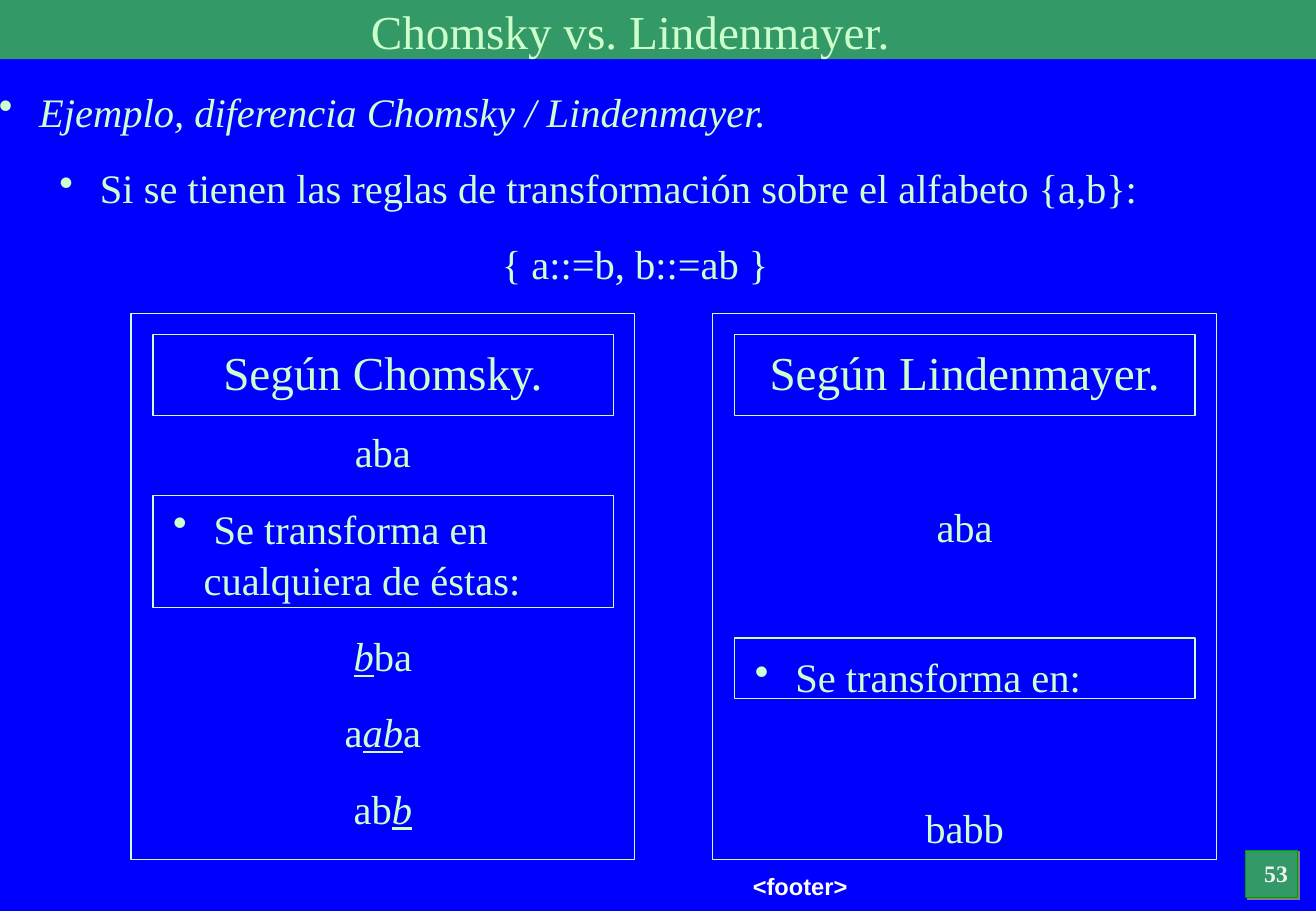
"""Builds the slide comparing Chomsky and Lindenmayer rewriting."""
from dataclasses import dataclass
from typing import Any, Optional

from lxml.etree import SubElement
from pptx import Presentation
from pptx.dml.color import RGBColor
from pptx.enum.shapes import MSO_SHAPE
from pptx.enum.text import MSO_ANCHOR, PP_ALIGN
from pptx.oxml.ns import qn
from pptx.util import Cm, Pt


@dataclass(frozen=True)
class Theme:
    """Colours, fonts and type sizes of the slide."""
    background: str = "0000FF"
    band: str = "339966"
    badge_line: str = "009900"
    shadow: str = "808080"
    text: str = "CCFFCC"
    number: str = "F2F2F2"
    footer: str = "FFFFFF"
    serif: str = "Times New Roman"
    sans: str = "Arial"
    title_size: int = 28
    body_size: int = 24
    small_size: int = 14


THEME = Theme()


@dataclass(frozen=True)
class Area:
    """A rectangle in centimetres."""
    left: float
    top: float
    width: float
    height: float


@dataclass(frozen=True)
class Span:
    """A stretch of text with one format."""
    text: str
    italic: bool = False
    underline: bool = False


@dataclass(frozen=True)
class Para:
    """A paragraph; level 0 is centred, higher levels have a bullet."""
    spans: tuple[Span, ...]
    level: int = 0
    before: float = 15
    size: int = THEME.body_size


@dataclass(frozen=True)
class Panel:
    """One column of the comparison."""
    left: float
    paras: tuple[Para, ...]
    note_top: float
    note_height: float


def plain(text: str, **options: Any) -> Para:
    """Return a paragraph of a single upright span."""
    return Para((Span(text),), **options)


def heading(text: str) -> Para:
    """Return the opening paragraph of a box."""
    return plain(text, before=0, size=THEME.title_size)


def changed(before: str, symbol: str, after: str) -> Para:
    """Return a word whose rewritten symbol is marked."""
    spans = (Span(before), Span(symbol, italic=True, underline=True), Span(after))
    return Para(tuple(span for span in spans if span.text))


SKIP = 59
INTRO = (
    heading("Chomsky vs. Lindenmayer."),
    Para((Span(" "), Span("Ejemplo, diferencia Chomsky / Lindenmayer.", italic=True)), level=1),
    plain(" Si se tienen las reglas de transformación sobre el alfabeto {a,b}:", level=2),
    plain(" { a::=b, b::=ab }"),
)
PANELS = (
    Panel(2.74, (
        heading("Según Chomsky."),
        plain("aba"),
        plain(" Se transforma en cualquiera de éstas:", level=1),
        changed("", "b", "ba"),
        changed("a", "ab", "a"),
        changed("ab", "b", ""),
    ), 10.36, 2.34),
    Panel(14.91, (
        heading("Según Lindenmayer."),
        plain("aba", before=SKIP),
        plain(" Se transforma en:", level=1, before=SKIP),
        plain("babb", before=SKIP),
    ), 13.34, 1.27),
)


def add_box(shapes: Any, area: Area, *, fill: Optional[str] = None,
            line: Optional[str] = None) -> Any:
    """Draw a rectangle with an optional fill and outline."""
    box = shapes.add_shape(MSO_SHAPE.RECTANGLE, Cm(area.left), Cm(area.top),
                           Cm(area.width), Cm(area.height))
    box.shadow.inherit = False
    if fill:
        box.fill.solid()
        box.fill.fore_color.rgb = RGBColor.from_string(fill)
    else:
        box.fill.background()
    if line:
        box.line.color.rgb = RGBColor.from_string(line)
        box.line.width = Pt(0.75)
    else:
        box.line.fill.background()
    return box


def add_shadow(box: Any) -> None:
    """Give a box a hard shadow to the lower right."""
    effects = box._element.spPr.find(qn("a:effectLst"))
    shadow = SubElement(effects, qn("a:outerShdw"), blurRad="0", dist=str(Pt(1.4)),
                        dir="2700000", algn="ctr", rotWithShape="0")
    SubElement(shadow, qn("a:srgbClr"), val=THEME.shadow)


def add_bullet(para: Any, level: int) -> None:
    """Indent a paragraph and hang a bullet before it."""
    properties = para._p.get_or_add_pPr()
    properties.set("marL", str(Cm(1.27 * level)))
    properties.set("indent", str(Cm(-0.635)))
    colour = SubElement(properties, qn("a:buClr"))
    SubElement(colour, qn("a:srgbClr"), val=THEME.text)
    SubElement(properties, qn("a:buChar"), char="•")


def add_text(shapes: Any, area: Area, paras: tuple[Para, ...], *, font: str = THEME.serif,
             colour: str = THEME.text, bold: bool = False, spacing: float = 1.05) -> None:
    """Write paragraphs into a text box."""
    box = shapes.add_textbox(Cm(area.left), Cm(area.top), Cm(area.width), Cm(area.height))
    frame = box.text_frame
    frame.word_wrap = True
    frame.vertical_anchor = MSO_ANCHOR.TOP
    for index, item in enumerate(paras):
        para = frame.add_paragraph() if index else frame.paragraphs[0]
        para.line_spacing = spacing
        para.space_before = Pt(item.before)
        if item.level:
            para.alignment = PP_ALIGN.LEFT
            add_bullet(para, item.level)
        else:
            para.alignment = PP_ALIGN.CENTER
        for part in item.spans:
            span = para.add_run()
            span.text = part.text
            span.font.name = font
            span.font.size = Pt(item.size)
            span.font.bold = bold
            span.font.italic = part.italic
            span.font.underline = part.underline
            span.font.color.rgb = RGBColor.from_string(colour)


def add_panel(page: Any, panel: Panel) -> None:
    """Draw one framed column as a group."""
    shapes = page.shapes.add_group_shape().shapes
    inner = panel.left + 0.46
    add_box(shapes, Area(panel.left, 6.55, 10.54, 11.43), line=THEME.text)
    add_text(shapes, Area(panel.left, 6.99, 10.54, 10.5), panel.paras)
    add_box(shapes, Area(inner, 6.99, 9.63, 1.7), line=THEME.text)
    add_box(shapes, Area(inner, panel.note_top, 9.63, panel.note_height), line=THEME.text)


def main() -> None:
    """Build and save the deck."""
    deck = Presentation()
    deck.slide_width, deck.slide_height = Cm(27.53), Cm(19.05)
    page = deck.slides.add_slide(deck.slide_layouts[6])
    page.background.fill.solid()
    page.background.fill.fore_color.rgb = RGBColor.from_string(THEME.background)
    add_shadow(add_box(page.shapes, Area(26.06, 17.78, 1.09, 0.99),
                       fill=THEME.band, line=THEME.badge_line))
    add_box(page.shapes, Area(0, 0, 27.53, 1.24), fill=THEME.band)
    add_text(page.shapes, Area(26.01, 17.83, 1.37, 0.89),
             (plain("53", before=0, size=THEME.small_size),),
             colour=THEME.number, bold=True, spacing=1)
    add_text(page.shapes, Area(10.01, 18.11, 13.46, 0.71),
             (plain("<footer>", before=0, size=THEME.small_size),),
             font=THEME.sans, colour=THEME.footer, bold=True, spacing=1)
    add_text(page.shapes, Area(-0.91, -0.13, 28.19, 6.07), INTRO)
    for panel in PANELS:
        add_panel(page, panel)


    deck.save("out.pptx")


if __name__ == "__main__":
    main()
